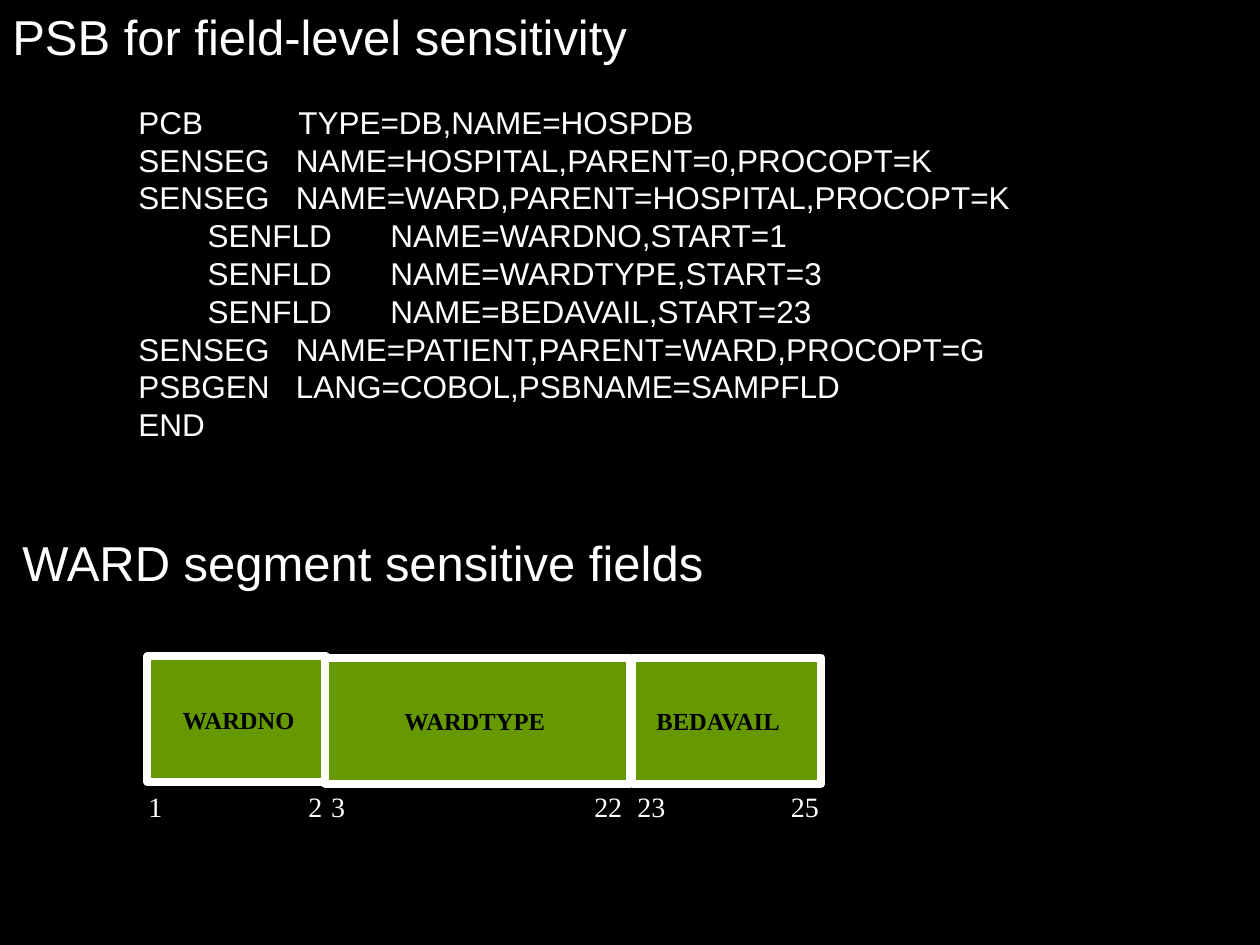
import pptx
import pptx.util
import pptx.dml.color
import pptx.enum.shapes
import pptx.enum.text
import lxml.etree
from pptx.util import Inches

COLORS = {"background": "000000", "text": "FFFFFF", "field": "669900", "border": "FFFFFF", "field name": "000000"}
HEADING = {"name": "Arial", "size": pptx.util.Pt(28)}
CODE = {"name": "Arial", "size": pptx.util.Pt(18)}
POSITION = {"name": "Times New Roman", "size": pptx.util.Pt(16)}
FIELD_NAME = {"name": "Times New Roman", "size": pptx.util.Pt(14), "bold": True}


def write(paragraph, text, style, color, tabs=()):
    run = paragraph.add_run()
    run.text = text
    for key, value in style.items():
        setattr(run.font, key, value)
    run.font.color.rgb = pptx.dml.color.RGBColor.from_string(COLORS[color])
    if tabs:
        namespace = pptx.oxml.ns.qn("a:tabLst")
        stops = lxml.etree.SubElement(paragraph._p.get_or_add_pPr(), namespace)
        for position, side in tabs:
            stop = lxml.etree.SubElement(stops, pptx.oxml.ns.qn("a:tab"))
            stop.set("pos", str(Inches(position)))
            stop.set("algn", side)


def add_text(left, top, width, height):
    frame = slide.shapes.add_textbox(Inches(left), Inches(top), Inches(width), Inches(height)).text_frame
    frame.word_wrap = True
    return frame


deck = pptx.Presentation()
deck.slide_width = Inches(10)
deck.slide_height = Inches(7.5)
slide = deck.slides.add_slide(deck.slide_layouts[6])
slide.background.fill.solid()
slide.background.fill.fore_color.rgb = pptx.dml.color.RGBColor.from_string(COLORS["background"])

psb = add_text(0, 0, 10, 3.57)
write(psb.paragraphs[0], "PSB for field-level sensitivity", HEADING, "text")
statements = [
    ("PCB", "TYPE=DB,NAME=HOSPDB"),
    ("SENSEG", "NAME=HOSPITAL,PARENT=0,PROCOPT=K"),
    ("SENSEG", "NAME=WARD,PARENT=HOSPITAL,PROCOPT=K"),
    ("SENFLD", "NAME=WARDNO,START=1"),
    ("SENFLD", "NAME=WARDTYPE,START=3"),
    ("SENFLD", "NAME=BEDAVAIL,START=23"),
    ("SENSEG", "NAME=PATIENT,PARENT=WARD,PROCOPT=G"),
    ("PSBGEN", "LANG=COBOL,PSBNAME=SAMPFLD"),
    ("END", ""),
]
columns = {"PCB": (1, 2.27), "SENFLD": (1.55, 3)}
for number, (keyword, operands) in enumerate(statements):
    statement = psb.add_paragraph()
    if number == 0:
        statement.space_before = pptx.util.Pt(21.6)
    stops = [(position, "l") for position in columns.get(keyword, (1, 2.25))]
    write(statement, f"\t{keyword}\t{operands}".rstrip(), CODE, "text", stops)

ward = add_text(0.08, 4.18, 5.67, 0.57)
write(ward.paragraphs[0], "WARD segment sensitive fields", HEADING, "text")

positions = add_text(1.08, 6.22, 5.58, 0.64)
position_stops = [(1.38, "r"), (1.45, "l"), (3.76, "r"), (3.88, "l"), (5.32, "r")]
write(positions.paragraphs[0], "1\t2\t3\t22\t23\t25", POSITION, "text", position_stops)

fields = [
    ("BEDAVAIL", 5.02, 5.22, 1.5, 0.19),
    ("WARDNO", 1.17, 5.21, 1.42, 0.28),
    ("WARDTYPE", 2.58, 5.22, 2.42, 0.63),
]
for name, left, top, width, indent in fields:
    field = slide.shapes.add_shape(
        pptx.enum.shapes.MSO_SHAPE.RECTANGLE, Inches(left), Inches(top), Inches(width), Inches(1))
    field.shadow.inherit = False
    field.fill.solid()
    field.fill.fore_color.rgb = pptx.dml.color.RGBColor.from_string(COLORS["field"])
    field.line.color.rgb = pptx.dml.color.RGBColor.from_string(COLORS["border"])
    field.line.width = pptx.util.Pt(4.5)
    layout = {"margin_left": Inches(indent), "margin_right": 0, "word_wrap": True,
              "vertical_anchor": pptx.enum.text.MSO_ANCHOR.MIDDLE}
    for key, value in layout.items():
        setattr(field.text_frame, key, value)
    label = field.text_frame.paragraphs[0]
    label.alignment = pptx.enum.text.PP_ALIGN.LEFT
    write(label, name, FIELD_NAME, "field name")

deck.save("out.pptx")
